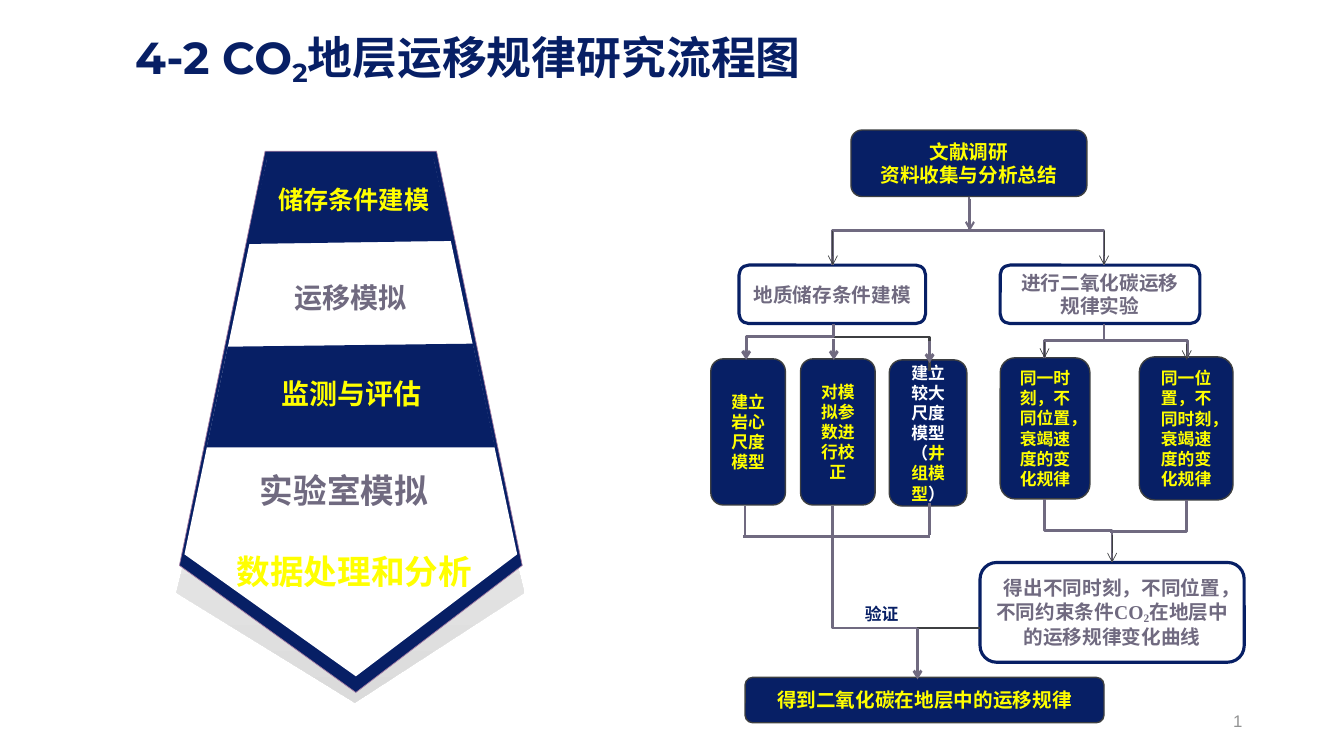
"""Builds the slide with the CO2 formation migration study workflow."""
from dataclasses import dataclass

from lxml import etree
from pptx import Presentation
from pptx.dml.color import RGBColor
from pptx.enum.shapes import MSO_CONNECTOR as CONN, MSO_SHAPE as SHAPE
from pptx.enum.text import MSO_ANCHOR as ANCHOR, PP_ALIGN as ALIGN
from pptx.oxml.ns import qn
from pptx.util import Inches, Pt


@dataclass(frozen=True)
class Theme:
    """Colours, fonts and type sizes of the slide."""
    navy: str = "071F65"
    yellow: str = "FFFF00"
    white: str = "FFFFFF"
    grey: str = "706A80"
    dark: str = "3D3F41"
    mauve: str = "A57DA5"
    shade: str = "DBDBDB"
    page: str = "929393"
    head: str = "Montserrat"
    body: str = "Times New Roman"
    plain: str = "Arial"
    title: int = 32
    large: int = 24
    medium: int = 20
    band: int = 18
    box: int = 14
    small: int = 12


T = Theme()


def rgb(code):
    """Turn a hex code into a colour."""
    return RGBColor.from_string(code)


def add_run(p, text, color, size, font, bold=True, sub=False):
    """Add one formatted run to a paragraph."""
    r = p.add_run()
    r.text = text
    r.font.size, r.font.name, r.font.bold = Pt(size), font, bold
    r.font.color.rgb = rgb(color)
    if sub:
        r.font._element.set("baseline", "-20000")


def add_label(shapes, at, text, color, size, font=T.head, align=ALIGN.LEFT,
              bold=True, anchor=ANCHOR.TOP):
    """Add a wrapped text box with one run and return its text frame."""
    tf = shapes.add_textbox(*map(Inches, at)).text_frame
    tf.word_wrap, tf.vertical_anchor = True, anchor
    tf.paragraphs[0].alignment = align
    add_run(tf.paragraphs[0], text, color, size, font, bold)
    return tf


def add_box(shapes, at, lines, size=T.box, font=T.body, filled=True):
    """Add a rounded box; each line is a list of (text, colour, sub) runs or a string."""
    sp = shapes.add_shape(SHAPE.ROUNDED_RECTANGLE, *map(Inches, at))
    sp.shadow.inherit = False
    sp.fill.solid()
    sp.fill.fore_color.rgb = rgb(T.navy if filled else T.white)
    sp.line.color.rgb = rgb(T.dark if filled else T.navy)
    sp.line.width = Pt(1 if filled else 2.25)
    tf = sp.text_frame
    tf.word_wrap, tf.vertical_anchor = True, ANCHOR.MIDDLE
    for i, line in enumerate(lines):
        p = tf.add_paragraph() if i else tf.paragraphs[0]
        p.alignment = ALIGN.CENTER
        if isinstance(line, str):
            line = [(line, T.yellow if filled else T.grey, False)]
        for text, color, sub in line:
            add_run(p, text, color, size, font, sub=sub)


def add_polygon(shapes, points, color=None, outline=None):
    """Add a closed outline, graded from white to the shade if no colour is given."""
    pts = [(Inches(x), Inches(y)) for x, y in points]
    builder = shapes.build_freeform(*pts[0])
    builder.add_line_segments(pts[1:], close=True)
    sp = builder.convert_to_shape()
    sp.shadow.inherit = False
    if color:
        sp.fill.solid()
        sp.fill.fore_color.rgb = rgb(color)
    else:
        sp.fill.gradient()
        sp.fill.gradient_angle = 270
        for stop, code in zip(sp.fill.gradient_stops, (T.white, T.shade)):
            stop.color.rgb = rgb(code)
    if outline:
        sp.line.color.rgb, sp.line.width = rgb(outline), Pt(0.5)
    else:
        sp.line.fill.background()


def add_line(shapes, start, end, color=T.grey, width=2, kind=CONN.STRAIGHT, arrow=False):
    """Add a connector without a shadow, with an arrowhead on request."""
    line = shapes.add_connector(kind, *map(Inches, (*start, *end)))
    line.line.color.rgb, line.line.width = rgb(color), Pt(width)
    if arrow:
        etree.SubElement(line.line._get_or_add_ln(), qn("a:tailEnd"), type="arrow")
    etree.SubElement(line._element.spPr, qn("a:effectLst"))
    return line


def add_elbow(shapes, start, end, bend=0.5, down=True, color=T.grey, width=2):
    """Add an elbow connector that leaves downwards or sideways and turns at bend."""
    line = add_line(shapes, start, end, color, width, CONN.ELBOW)
    sp_pr = line._element.spPr
    guides = sp_pr.find(qn("a:prstGeom")).get_or_add_avLst()
    etree.SubElement(guides, qn("a:gd"), name="adj1", fmla=f"val {round(bend * 100000)}")
    if down:
        (x1, y1), (x2, y2) = start, end
        w, h = y2 - y1, abs(x2 - x1)
        line.left, line.top = Inches((x1 + x2 - w) / 2), Inches((y1 + y2 - h) / 2)
        line.width, line.height = Inches(w), Inches(h)
        xfrm = sp_pr.find(qn("a:xfrm"))
        xfrm.set("rot", str((270 if x2 > x1 else 90) * 60000))
        xfrm.set("flipH", "1" if x2 > x1 else "0")


def add_title(s):
    """Place and fill the title."""
    title = s.shapes.title
    title.left, title.top, title.width, title.height = map(Inches, (1.24, 0.12, 11.89, 0.77))
    tf = title.text_frame
    tf.word_wrap, tf.vertical_anchor = True, ANCHOR.BOTTOM
    p = tf.paragraphs[0]
    p.alignment, p.line_spacing = ALIGN.LEFT, 0.9
    for text, sub in (("4-2 CO", False), ("2", True), ("地层运移规律研究流程图", False)):
        add_run(p, text, T.navy, T.title, T.head, sub=sub)


def add_arrow_panel(shapes):
    """Draw the banded downward arrow on the left."""
    add_polygon(shapes, [(2.61, 2.37), (4.34, 2.37), (5.2, 5.88), (3.52, 6.97), (1.75, 5.88)])
    add_polygon(shapes, [(2.63, 1.5), (4.33, 1.5), (5.18, 5.61), (3.53, 6.87), (1.78, 5.61)],
                T.navy, T.mauve)
    add_polygon(shapes, [(2.65, 1.58), (4.3, 1.58), (5.13, 5.5), (3.53, 6.71), (1.83, 5.5)],
                T.white)
    tf = add_label(shapes, (2.25, 4.61, 2.74, 1.31), "实验室模拟", T.grey, T.large)
    tf.paragraphs[0]._p.get_or_add_pPr().set("marL", str(Inches(0.23)))
    p = tf.add_paragraph()
    p.space_before = Pt(29)
    add_run(p, "数据处理和分析", T.yellow, T.large, T.plain)
    add_label(shapes, (2.82, 2.73, 1.88, 0.44), "运移模拟", T.grey, T.medium)
    add_polygon(shapes, [(2.46, 2.42), (2.65, 1.57), (4.3, 1.57), (4.48, 2.39)], T.navy)
    add_polygon(shapes, [(2.05, 4.44), (2.26, 3.44), (4.69, 3.41), (4.91, 4.44)], T.navy)
    add_label(shapes, (2.66, 1.78, 1.73, 0.4), "储存条件建模", T.yellow, T.band)
    add_label(shapes, (2.69, 3.69, 1.69, 0.44), "监测与评估", T.yellow, T.medium)


def add_flowchart(shapes):
    """Draw the boxes, links and arrows of the workflow."""
    add_box(shapes, (8.44, 1.29, 2.34, 0.66), ["文献调研", "资料收集与分析总结"], font=T.head)
    add_box(shapes, (7.33, 2.63, 1.85, 0.58), ["地质储存条件建模"], filled=False)
    add_box(shapes, (9.92, 2.63, 1.98, 0.58), ["进行二氧化碳运移规律实验"], filled=False)
    wells = [("建立较大尺度模型（", T.white, False), ("井组模型", T.yellow, False),
             ("）", T.white, False)]
    for at, line in (
            ((7.05, 3.56, 0.74, 1.45), "建立岩心尺度模型"),
            ((7.94, 3.56, 0.74, 1.45), "对模拟参数进行校正"),
            ((8.82, 3.57, 0.77, 1.45), wells),
            ((9.92, 3.55, 0.89, 1.4), "同一时刻，不同位置，衰竭速度的变化规律"),
            ((11.3, 3.54, 0.93, 1.42), "同一位置，不同时刻，衰竭速度的变化规律")):
        add_box(shapes, at, [line], T.small)
    curves = [("得出不同时刻，不同位置，不同约束条件CO", T.grey, False), ("2", T.grey, True),
              ("在地层中的运移规律变化曲线", T.grey, False)]
    add_box(shapes, (9.72, 5.58, 2.62, 0.99), [curves], filled=False)
    add_box(shapes, (7.39, 6.72, 3.56, 0.45), ["得到二氧化碳在地层中的运移规律"])

    add_elbow(shapes, (8.27, 3.25), (9.22, 3.68), 0.22, color=T.dark)
    for start, end, bend in (((9.61, 1.95), (8.26, 2.63), 0.5),
                             ((8.27, 3.21), (7.4, 3.48), 0.47),
                             ((10.95, 3.21), (10.36, 3.55), 0.5),
                             ((10.36, 4.95), (11.03, 5.58), 0.5),
                             ((11.77, 4.96), (11.01, 5.27), 1)):
        add_elbow(shapes, start, end, bend)
    for start, end, bend in (((10.95, 3.38), (11.78, 3.55), 1),
                             ((9.61, 2.29), (10.95, 2.63), 1),
                             ((8.26, 5.02), (9.68, 6.23), 0)):
        add_elbow(shapes, start, end, bend, down=False)
    add_elbow(shapes, (9.72, 6.23), (9.1, 6.71), 1, down=False, color=T.dark, width=1)
    for start, end in (((7.39, 5.02), (7.39, 5.33)), ((9.22, 4.99), (9.22, 5.31)),
                       ((7.37, 5.32), (9.22, 5.32))):
        add_line(shapes, start, end)
    add_label(shapes, (8.48, 5.94, 0.7, 0.41), "验证", T.navy, T.small, T.body, ALIGN.JUSTIFY)

    add_line(shapes, (9.62, 1.97), (9.62, 2.29), width=1.5, arrow=True)
    for x, top, bottom in ((7.4, 3.41, 3.57), (8.27, 3.36, 3.57), (9.22, 3.38, 3.6),
                           (9.1, 6.23, 6.74)):
        add_line(shapes, (x, top), (x, bottom), arrow=True)
    for x, top, bottom in ((8.26, 2.29, 2.63), (10.95, 2.29, 2.63), (10.36, 3.39, 3.55),
                           (11.77, 3.41, 3.57), (11.03, 5.31, 5.58)):
        add_line(shapes, (x, top), (x, bottom), T.dark, 0.5, arrow=True)


def main():
    """Build and save the slide."""
    prs = Presentation()
    prs.slide_width, prs.slide_height = Inches(13.33), Inches(7.5)
    s = prs.slides.add_slide(prs.slide_layouts[5])
    add_title(s)
    add_label(s.shapes, (9.42, 6.95, 3, 0.4), "1", T.page, T.small, T.plain,
              ALIGN.RIGHT, False, ANCHOR.MIDDLE)
    add_arrow_panel(s.shapes.add_group_shape().shapes)
    add_flowchart(s.shapes.add_group_shape().shapes)
    prs.save("out.pptx")


if __name__ == "__main__":
    main()
